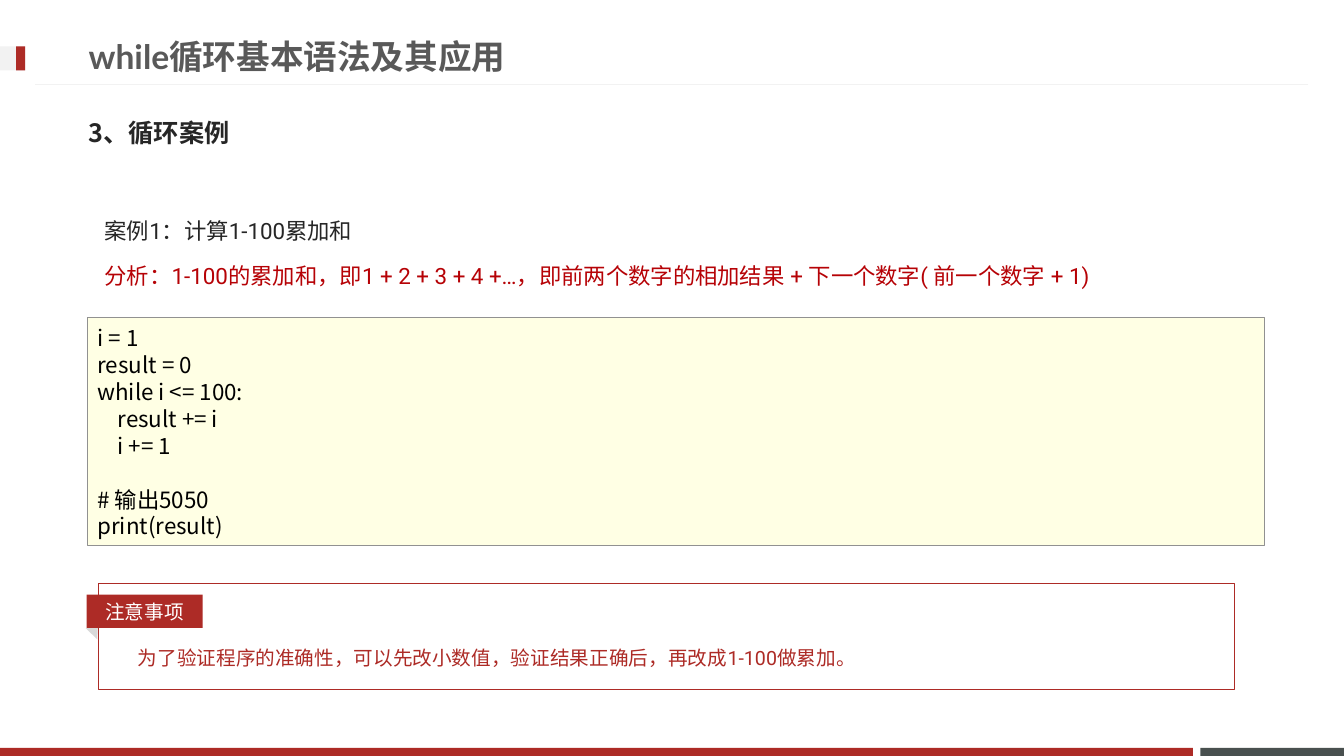
from lxml import etree
from pptx import Presentation
from pptx.dml.color import RGBColor
from pptx.enum.shapes import MSO_CONNECTOR, MSO_SHAPE
from pptx.enum.text import MSO_ANCHOR, PP_ALIGN
from pptx.oxml.ns import qn
from pptx.util import Pt

RECTANGLE = MSO_SHAPE.RECTANGLE
TRIANGLE = MSO_SHAPE.ISOSCELES_TRIANGLE
STRAIGHT = MSO_CONNECTOR.STRAIGHT
TOP, MIDDLE = MSO_ANCHOR.TOP, MSO_ANCHOR.MIDDLE
LEFT, CENTER = PP_ALIGN.LEFT, PP_ALIGN.CENTER

RED, DEEP_RED, SLATE = "AD2B26", "B60206", "49504F"
PALE, INK, HEADING = "F2F2F2", "262626", "595959"
CODE_PITCH, CODE_INDENT = 19.2, 14.4


def color(value):
    return RGBColor.from_string(value)


class SlideBuilder:
    heading_font = "Lato"
    body_font = "Roboto"
    code_font = "Noto Sans CJK JP"

    def __init__(self, slide):
        self.shapes = slide.shapes

    def shape(self, box, fill=None, line=None, width=0.75, kind=RECTANGLE, rotation=0):
        item = self.shapes.add_shape(kind, *map(Pt, box))
        item.shadow.inherit = False
        item.rotation = rotation
        if fill:
            item.fill.solid()
            item.fill.fore_color.rgb = color(fill)
        else:
            item.fill.background()
        if line:
            item.line.color.rgb = color(line)
            item.line.width = Pt(width)
        else:
            item.line.fill.background()
        return item

    def line(self, start, end, stroke, width):
        item = self.shapes.add_connector(STRAIGHT, *map(Pt, start + end))
        item.line.color.rgb = color(stroke)
        item.line.width = Pt(width)
        etree.SubElement(item._element.spPr, qn("a:effectLst"))

    def text_box(self, box, anchor=TOP):
        frame = self.shapes.add_textbox(*map(Pt, box)).text_frame
        self.prepare(frame, anchor)
        return frame

    def prepare(self, frame, anchor):
        frame.word_wrap = True
        frame.vertical_anchor = anchor

    def paragraph(self, frame, text, size, fill, font, bold=False, align=LEFT,
                  spacing=None, before=0, indent=0):
        first = frame.paragraphs[0]
        paragraph = frame.add_paragraph() if first.runs else first
        paragraph.alignment = align
        paragraph.space_before = Pt(before)
        if spacing:
            paragraph.line_spacing = spacing
        if indent:
            paragraph._p.get_or_add_pPr().set("marL", str(Pt(indent)))
        run = paragraph.add_run()
        run.text = text
        run.font.size = Pt(size)
        run.font.bold = bold
        run.font.name = font
        run.font.color.rgb = color(fill)
        east_asian = etree.SubElement(run._r.get_or_add_rPr(), qn("a:ea"))
        east_asian.set("typeface", font)


presentation = Presentation()
presentation.slide_width, presentation.slide_height = Pt(960), Pt(540)
page = SlideBuilder(presentation.slides.add_slide(presentation.slide_layouts[6]))

page.shape((857.5, 534.2, 102.5, 5.8), SLATE)
page.shape((0, 534.2, 852, 5.8), RED)
page.line((934.6, 60.5), (25.2, 60.5), PALE, 0.75)
page.shape((0, 33.1, 18, 17.3), PALE)
page.shape((11.5, 33.1, 6.5, 17.3), RED)

title = page.text_box((56.2, 19.4, 690.5, 41), MIDDLE)
page.paragraph(title, "while循环基本语法及其应用", 24, HEADING, page.heading_font, bold=True)

section = page.text_box((56.2, 74.2, 846.7, 41), MIDDLE)
page.paragraph(section, "3、循环案例", 18, INK, page.code_font, bold=True)

example = page.text_box((67.7, 141.8, 846.7, 331.9))
for statement, tint in (
    ("案例1：计算1-100累加和", INK),
    ("分析：1-100的累加和，即1 + 2 + 3 + 4 +…，即前两个数字的相加结果 + 下一个数字( 前一个数字 + 1)", DEEP_RED),
):
    page.paragraph(example, statement, 16, tint, page.body_font, spacing=1.5, before=3.2)

code = page.shape((62.6, 226.8, 840.2, 162.7), "FFFFE4", "919191", 0.25).text_frame
page.prepare(code, TOP)
code.margin_top = Pt(5)
for source, level, skipped in (
    ("i = 1", 0, 0),
    ("result = 0", 0, 0),
    ("while i <= 100:", 0, 0),
    ("result += i", 1, 0),
    ("i += 1", 1, 0),
    ("# 输出5050", 0, 1),
    ("print(result)", 0, 0),
):
    page.paragraph(code, source, 16, "000000", page.code_font, spacing=Pt(CODE_PITCH),
                   before=skipped * CODE_PITCH, indent=level * CODE_INDENT)

page.shape((61.9, 447.1, 11.5, 6.5), "D9D9D9", kind=TRIANGLE, rotation=44.2)
advice = page.text_box((91.4, 449.3, 769.7, 30.2))
page.paragraph(advice, "为了验证程序的准确性，可以先改小数值，验证结果正确后，再改成1-100做累加。",
               14, RED, page.body_font, spacing=1.5)
page.shape((70.6, 416.9, 811.4, 75.6), line=RED)
notice = page.shape((61.9, 424.8, 82.8, 23.8), RED).text_frame
page.prepare(notice, MIDDLE)
page.paragraph(notice, "注意事项", 14, "FFFFFF", page.body_font, align=CENTER)

presentation.save("out.pptx")
